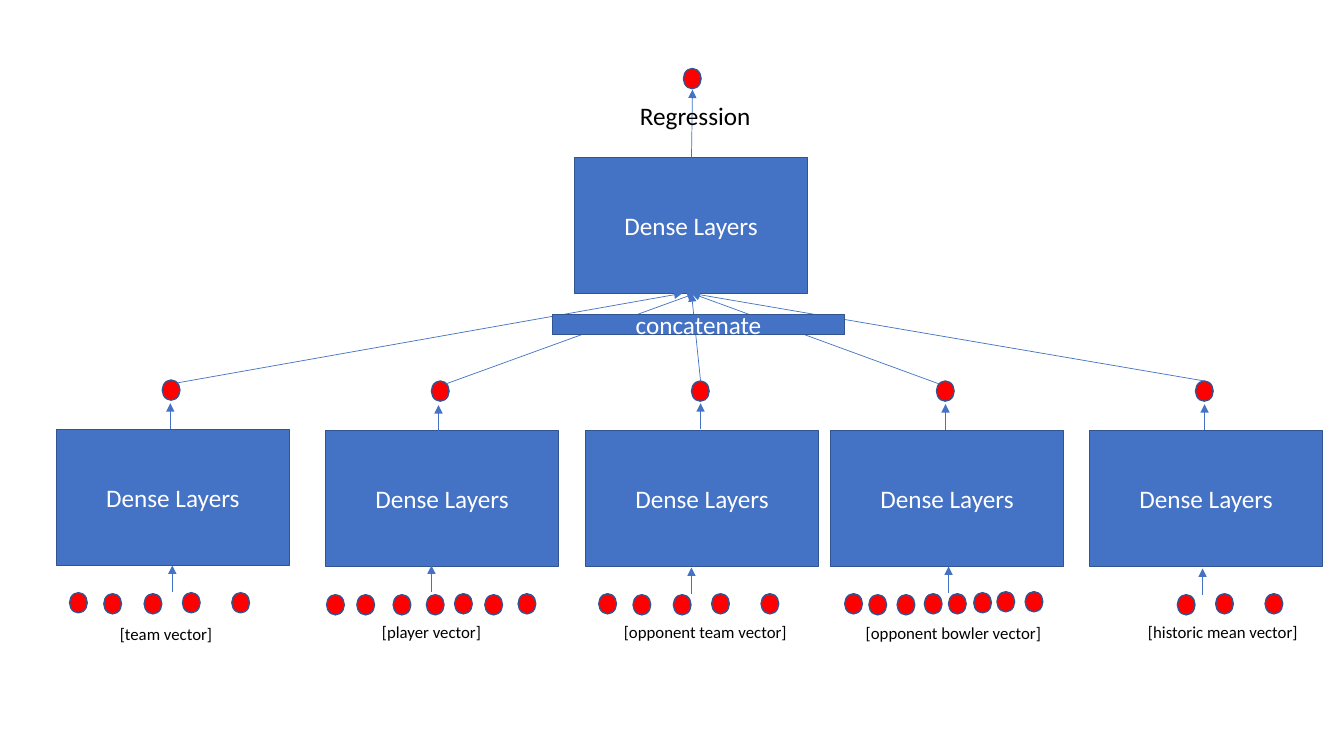
from dataclasses import dataclass

from lxml import etree
from pptx import Presentation
from pptx.dml.color import RGBColor
from pptx.enum.shapes import MSO_CONNECTOR as CONN, MSO_SHAPE as SHAPE
from pptx.enum.text import MSO_ANCHOR as ANCHOR, MSO_AUTO_SIZE as AUTO, PP_ALIGN as ALIGN
from pptx.oxml.ns import qn
from pptx.util import Inches, Pt

# Grid: square cells, ten to the inch
CELL = Inches(0.1)
COLS, ROWS = 133.33, 75
COLORS = {"box": "4472C4", "edge": "325491", "dot": "FF0000",
          "light": "FFFFFF", "dark": "000000"}
FONT = "Calibri"

# Sizes in cells
BOX_W, BOX_H = 23.1, 13.5
DOT_W, DOT_H = 1.75, 2.0
ARROW_H = 2.6
HUB_X, HUB_Y = 57, 15.6
HUB_BOTTOM = HUB_Y + BOX_H


@dataclass
class Branch:
    label: str
    label_at: tuple      # left, top, width
    box: tuple           # left, top
    dots: list           # left and top of each input dot
    arrow_in: tuple      # foot of the arrow into the box
    arrow_out: tuple     # foot of the arrow out of the box
    link: tuple          # start of the line to the hub, on the output dot
    link_end: float = 68.6


BRANCHES = [
    Branch("[team vector]", (10.9, 61.4, 17.8), (5.6, 42.6),
           [(6.9, 58.8), (10.3, 58.9), (14.3, 58.9), (18.1, 58.8), (23, 58.8)],
           (17.1, 58.7), (16.9, 42.6), (17.5, 38), 67.7),
    Branch("[player vector]", (36.9, 61.2, 17.8), (32.3, 42.7),
           [(32.4, 59), (35.4, 59), (39, 59), (42.3, 59), (45.1, 58.9),
            (48.1, 59), (51.4, 58.9)],
           (42.8, 58.7), (43.5, 42.8), (44.2, 38.1), 69),
    Branch("[opponent team vector]", (60.9, 61.2, 21.8), (58.1, 42.7),
           [(59.4, 58.9), (62.8, 59), (66.8, 59), (70.6, 58.9), (75.5, 58.9)],
           (68.6, 58.9), (69.5, 42.6), (69.5, 37.8)),
    Branch("[opponent bowler vector]", (84.9, 61.3, 21.8), (82.4, 42.7),
           [(83.8, 58.9), (86.2, 59), (89, 59), (91.7, 58.9), (94.1, 58.9),
            (96.6, 58.8), (98.9, 58.7), (101.7, 58.7)],
           (94.1, 58.8), (93.8, 42.7), (93.2, 38.1)),
    Branch("[historic mean vector]", (112.9, 61.2, 21.8), (108.1, 42.7),
           [(116.8, 59), (120.6, 58.9), (125.5, 58.9)],
           (119.3, 59), (119.5, 42.7), (119.5, 37.8)),
]


def cells(*values):
    return [round(v * CELL) for v in values]


def rgb(name):
    return RGBColor.from_string(COLORS[name])


def write(tf, text, size, color, **formats):
    """Put one run of text in a frame, with the frame's own formats."""
    for name, value in formats.items():
        setattr(tf, name, value)
    p = tf.paragraphs[0]
    r = p.add_run()
    r.text = text
    for name, value in {"name": FONT, "size": Pt(size)}.items():
        setattr(r.font, name, value)
    r.font.color.rgb = rgb(color)
    return p


def add_solid(slide, kind, fill, x, y, w, h):
    s = slide.shapes.add_shape(kind, *cells(x, y, w, h))
    s.shadow.inherit = False
    s.fill.solid()
    s.fill.fore_color.rgb = rgb(fill)
    s.line.color.rgb = rgb("edge")
    s.line.width = Pt(1)
    return s


def add_box(slide, text, x, y, w=BOX_W, h=BOX_H):
    s = add_solid(slide, SHAPE.RECTANGLE, "box", x, y, w, h)
    p = write(s.text_frame, text, 18, "light", vertical_anchor=ANCHOR.MIDDLE)
    p.alignment = ALIGN.CENTER


def add_dot(slide, x, y):
    add_solid(slide, SHAPE.OVAL, "dot", x, y, DOT_W, DOT_H)


def add_label(slide, text, size, x, y, w, h):
    s = slide.shapes.add_textbox(*cells(x, y, w, h))
    write(s.text_frame, text, size, "dark",
          word_wrap=True, auto_size=AUTO.SHAPE_TO_FIT_TEXT)


def add_arrow(slide, start, end):
    c = slide.shapes.add_connector(CONN.STRAIGHT, *cells(*start, *end))
    c.line.color.rgb = rgb("box")
    c.line.width = Pt(0.5)
    etree.SubElement(c.line._get_or_add_ln(), qn("a:tailEnd"), type="triangle")
    etree.SubElement(c._element.spPr, qn("a:effectLst"))


def add_branch(slide, b):
    x, y = b.box
    add_box(slide, "Dense Layers", x, y)
    for dot in b.dots:
        add_dot(slide, *dot)
    add_dot(slide, x + 10.5, y - 4.9)
    for foot_x, foot_y in (b.arrow_in, b.arrow_out):
        add_arrow(slide, (foot_x, foot_y), (foot_x, foot_y - ARROW_H))
    add_label(slide, b.label, 12, *b.label_at, 3)


def main():
    prs = Presentation()
    prs.slide_width, prs.slide_height = cells(COLS, ROWS)
    slide = prs.slides.add_slide(prs.slide_layouts[6])

    # Input branches
    for b in BRANCHES:
        add_branch(slide, b)

    # Hub that joins the branches
    add_box(slide, "Dense Layers", HUB_X, HUB_Y)
    for b in BRANCHES:
        add_arrow(slide, b.link, (b.link_end, HUB_BOTTOM))
    add_box(slide, "concatenate", 54.8, 31.2, 29, 2)

    # Regression output
    add_dot(slide, 67.8, 6.8)
    add_arrow(slide, (68.6, HUB_Y), (68.7, 8.9))
    add_label(slide, "Regression", 18, 62.5, 9.5, 19.2, 4)

    prs.save("out.pptx")


if __name__ == "__main__":
    main()
